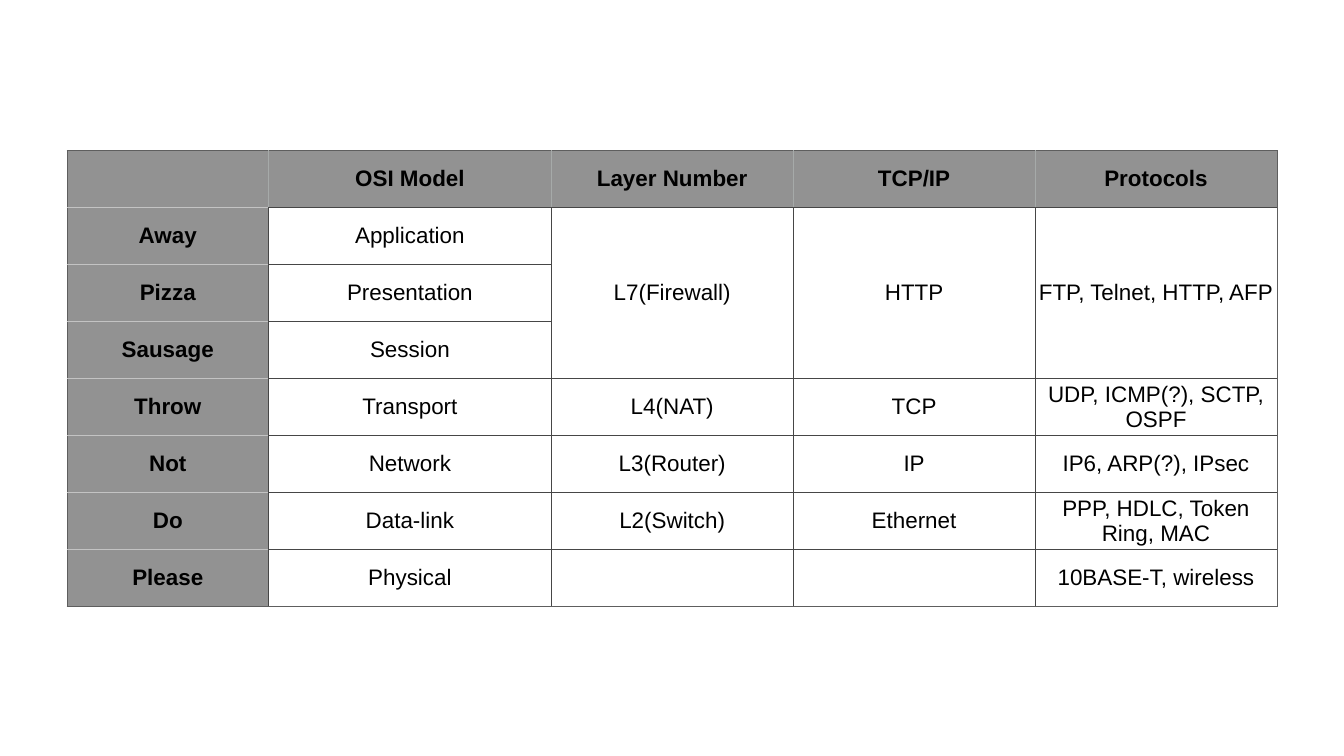
"""Builds a one-slide table of the network layers with their mnemonic."""
from lxml.etree import SubElement
from pptx import Presentation
from pptx.dml.color import RGBColor
from pptx.enum.text import MSO_VERTICAL_ANCHOR as Anchor, PP_PARAGRAPH_ALIGNMENT as Align
from pptx.oxml.ns import qn
from pptx.util import Inches, Pt

BLACK = RGBColor(0x00, 0x00, 0x00)
HEADING_GRAY = RGBColor(0x92, 0x92, 0x92)
OUTER_LINE = RGBColor(0x5E, 0x5E, 0x5E)
BODY_LINE = RGBColor(0x46, 0x46, 0x46)
HEADING_LINE = RGBColor(0xA6, 0xAA, 0xA9)
MNEMONIC_LINE = RGBColor(0xC3, 0xC3, 0xC3)

COLUMN_WIDTHS = [4, 5.61, 4.8, 4.8, 4.8]
ROW_HEIGHT = 1.13
LAYERS = [
    ["", "OSI Model", "Layer Number", "TCP/IP", "Protocols"],
    ["Away", "Application", "L7(Firewall)", "HTTP", "FTP, Telnet, HTTP, AFP"],
    ["Pizza", "Presentation", "", "", ""],
    ["Sausage", "Session", "", "", ""],
    ["Throw", "Transport", "L4(NAT)", "TCP", "UDP, ICMP(?), SCTP, OSPF"],
    ["Not", "Network", "L3(Router)", "IP", "IP6, ARP(?), IPsec"],
    ["Do", "Data-link", "L2(Switch)", "Ethernet", "PPP, HDLC, Token Ring, MAC"],
    ["Please", "Physical", "", "", "10BASE-T, wireless"],
]
MERGES = [((1, column), (3, column)) for column in (2, 3, 4)]


class LayerSlide:
    font = {"name": "Arial", "size": Pt(32)}
    cell_format = {
        "vertical_anchor": Anchor.MIDDLE,
        **{f"margin_{side}": Inches(0.06) for side in ("left", "right", "top", "bottom")},
    }

    def __init__(self, deck):
        self.page = deck.slides.add_slide(deck.slide_layouts[6])

    def add_table(self, left, top, widths, row_height, rows, merges):
        frame = self.page.shapes.add_table(
            len(rows), len(widths), Inches(left), Inches(top),
            Inches(sum(widths)), Inches(row_height * len(rows)))
        table = frame.table
        for column, width in zip(table.columns, widths):
            column.width = Inches(width)
        for row in table.rows:
            row.height = Inches(row_height)
        last_row, last_column = len(rows) - 1, len(widths) - 1
        for r, texts in enumerate(rows):
            for c, text in enumerate(texts):
                cell = table.cell(r, c)
                inner = self.inner_lines(r, c)
                edges = {
                    "L": OUTER_LINE if c == 0 else inner["L"],
                    "R": OUTER_LINE if c == last_column else inner["R"],
                    "T": OUTER_LINE if r == 0 else inner["T"],
                    "B": OUTER_LINE if r == last_row else inner["B"],
                }
                self.draw_borders(cell, edges)
                self.fill_cell(cell, text, heading=r == 0 or c == 0)
        for first, last in merges:
            table.cell(*first).merge(table.cell(*last))

    def inner_lines(self, row, column):
        if row == 0:
            return dict.fromkeys("LRTB", HEADING_LINE)
        if column == 0:
            return {"L": OUTER_LINE, "R": HEADING_LINE, "T": MNEMONIC_LINE, "B": MNEMONIC_LINE}
        return dict.fromkeys("LRTB", BODY_LINE)

    def draw_borders(self, cell, edges):
        properties = cell._tc.get_or_add_tcPr()
        for side, color in edges.items():
            line = SubElement(properties, qn(f"a:ln{side}"), w=str(Pt(1)))
            solid = SubElement(line, qn("a:solidFill"))
            SubElement(solid, qn("a:srgbClr"), val=str(color))

    def fill_cell(self, cell, text, heading):
        for name, value in self.cell_format.items():
            setattr(cell, name, value)
        if heading:
            cell.fill.solid()
            cell.fill.fore_color.rgb = HEADING_GRAY
        else:
            cell.fill.background()
        if not text:
            return
        para = cell.text_frame.paragraphs[0]
        para.alignment = Align.CENTER
        span = para.add_run()
        span.text = text
        for name, value in {**self.font, "bold": heading}.items():
            setattr(span.font, name, value)
        span.font.color.rgb = BLACK


def main():
    deck = Presentation()
    deck.slide_width, deck.slide_height = Inches(26.67), Inches(15)
    slide = LayerSlide(deck)
    slide.add_table(1.33, 2.99, COLUMN_WIDTHS, ROW_HEIGHT, LAYERS, MERGES)
    deck.save("out.pptx")


if __name__ == "__main__":
    main()
